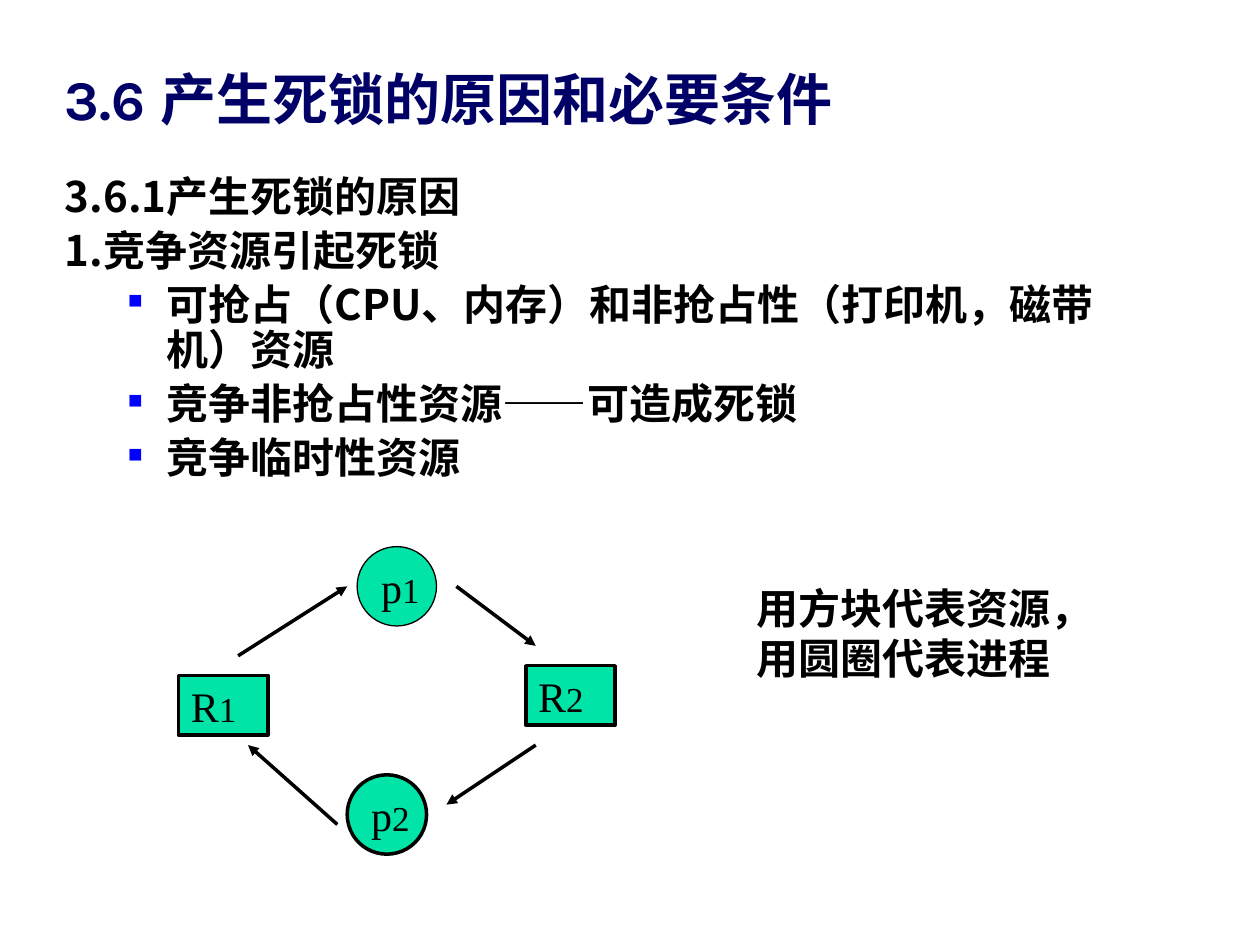
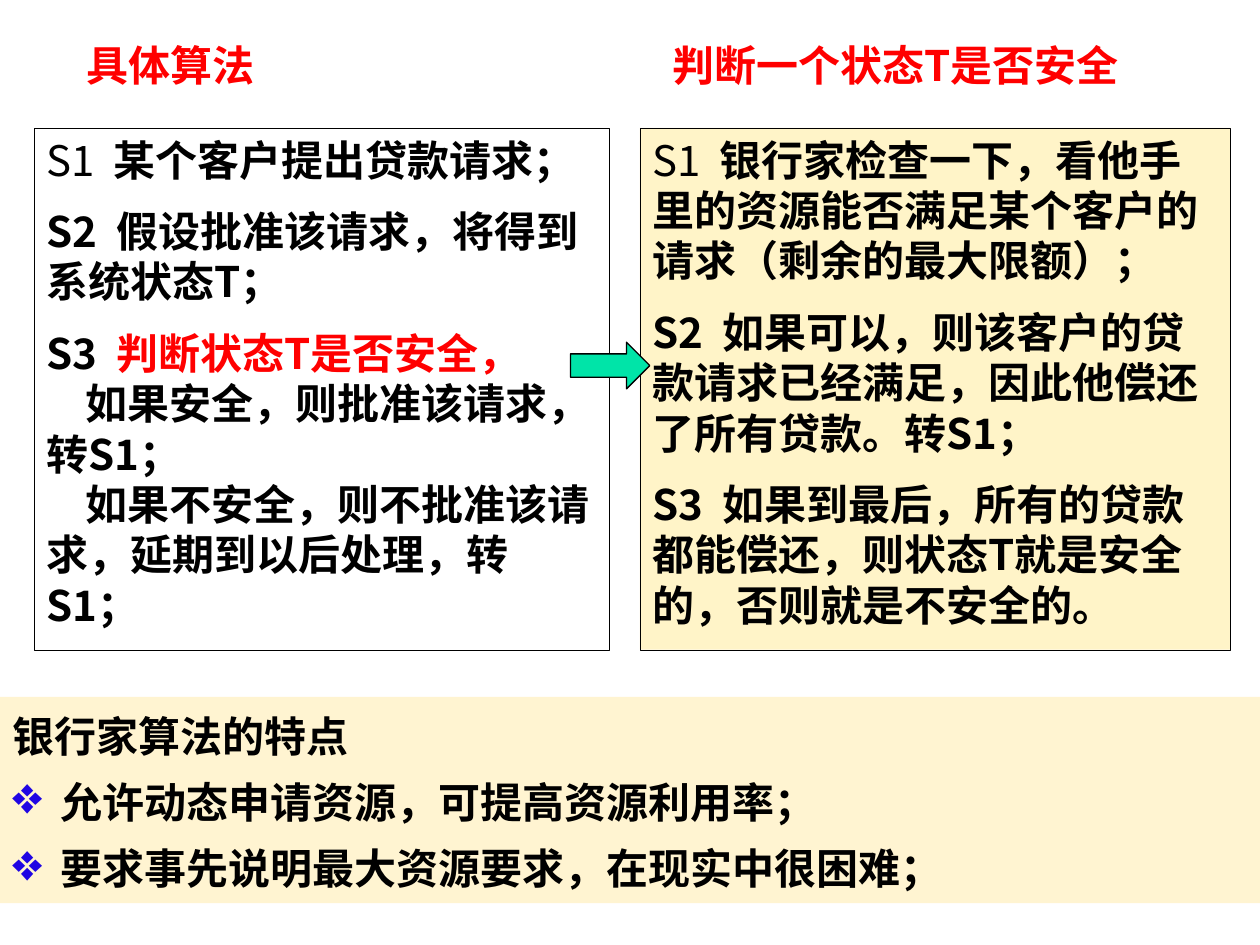
"""Builds two slides on deadlock causes and the banker's algorithm."""
import pptx
import pptx.util
import pptx.dml.color
import pptx.enum.shapes
import pptx.enum.text
import pptx.oxml
import pptx.oxml.ns
from lxml import etree

Color = pptx.dml.color.RGBColor
Pt = pptx.util.Pt
Inches = pptx.util.Inches
Shape = pptx.enum.shapes.MSO_SHAPE
Anchor = pptx.enum.text.MSO_ANCHOR
qn = pptx.oxml.ns.qn

BLACK = Color(0x00, 0x00, 0x00)
NAVY = Color(0x00, 0x00, 0x66)
RED = Color(0xFF, 0x00, 0x00)
BLUE = Color(0x00, 0x00, 0xFF)
VIOLET = Color(0x1F, 0x05, 0xE3)
GREEN = Color(0x00, 0xE4, 0xA8)
CREAM = Color(0xFF, 0xF4, 0xC8)
SAND = Color(0xFF, 0xF4, 0xD1)

SANS = "Noto Sans CJK SC"
SERIF = "Times New Roman"
HEAD = "Karla"
COLS = 127


def add(parent, tag, **attrs):
    node = etree.SubElement(parent, qn(tag))
    for key, value in attrs.items():
        node.set(key, str(value))
    return node


def write(para, text, size=24, color=BLACK, bold=True, font=SANS, space=0):
    run = para.add_run()
    run.text = text
    run.font.size = Pt(size)
    run.font.bold = bold
    run.font.name = font
    run.font.color.rgb = color
    add(run.font._element, "a:ea", typeface=SANS)
    if space:
        run.font._element.set("spc", str(round(space * 100)))


class Deck:
    """Holds the shared style and the current slide."""

    def __init__(self):
        self.show = pptx.Presentation()
        self.show.slide_width = Inches(10)
        self.show.slide_height = Inches(7.5)
        self.unit = self.show.slide_width / COLS

    def page(self):
        self.slide = self.show.slides.add_slide(self.show.slide_layouts[6])

    def grid(self, *cells):
        return [round(cell * self.unit) for cell in cells]

    def fill(self, shape, paras, anchor=Anchor.TOP, wrap=True):
        frame = shape.text_frame
        frame.word_wrap = wrap
        frame.vertical_anchor = anchor
        for index, (runs, form) in enumerate(paras):
            para = frame.add_paragraph() if index else frame.paragraphs[0]
            self.form(para, first=index == 0, **form)
            for text, style in runs:
                write(para, text, **style)

    def form(self, para, first, left=0, hang=0, lead=1, gap=0,
             mark=None, tint=BLUE, scale=100):
        props = para._p.get_or_add_pPr()
        props.set("marL", str(Inches(left)))
        props.set("indent", str(Inches(hang)))
        if mark:
            add(add(props, "a:buClr"), "a:srgbClr", val=tint)
            add(props, "a:buSzPct", val=scale * 1000)
            add(props, "a:buChar", char=mark)
        para.alignment = pptx.enum.text.PP_ALIGN.LEFT
        para.line_spacing = lead
        para.space_before = Pt(0 if first else gap)

    def text(self, cells, paras, **frame):
        box = self.slide.shapes.add_textbox(*self.grid(*cells))
        self.fill(box, paras, **frame)

    def block(self, kind, cells, fill=None, edge=None, paras=(), **frame):
        shape = self.slide.shapes.add_shape(kind, *self.grid(*cells))
        shape.shadow.inherit = False
        if fill is None:
            shape.fill.background()
        else:
            shape.fill.solid()
            shape.fill.fore_color.rgb = fill
        if edge:
            shape.line.color.rgb = BLACK
            shape.line.width = Pt(edge)
        else:
            shape.line.fill.background()
        self.fill(shape, paras, **frame)

    def node(self, kind, cells, letter, digit, edge=2):
        runs = [(letter, dict(font=SERIF, bold=False)),
                (digit, dict(font=SERIF, bold=False, size=20))]
        self.block(kind, cells, GREEN, edge, [(runs, {})],
                   anchor=Anchor.MIDDLE, wrap=False)

    def arrow(self, *ends):
        line = self.slide.shapes.add_connector(
            pptx.enum.shapes.MSO_CONNECTOR.STRAIGHT, *self.grid(*ends))
        line.line.color.rgb = BLACK
        line.line.width = Pt(2)
        add(line.line._get_or_add_ln(), "a:tailEnd", type="triangle")
        add(line._element.spPr, "a:effectLst")


def plain(text, form, **style):
    return [(text, style)], form


def step(label, text, bold=True, color=BLACK):
    return ([(label, dict(bold=bold)), (" ", dict(bold=bold, space=5.4)),
             (text, dict(color=color))], dict(gap=12))


def causes(deck):
    deck.page()
    deck.text((5.3, 6.35, 118.5, 7.6),
              [plain("3.6 产生死锁的原因和必要条件", {},
                     size=32, color=NAVY, font=HEAD)], anchor=Anchor.BOTTOM)
    top = dict(left=0.38, hang=-0.38, lead=0.9, gap=5)
    sub = dict(left=0.81, hang=-0.31, lead=0.9, gap=5, mark="■", scale=48)
    deck.text((5.3, 17.1, 111, 34.9), [
        plain("3.6.1产生死锁的原因", top),
        plain("1.竞争资源引起死锁", top),
        plain("可抢占（CPU、内存）和非抢占性（打印机，磁带机）资源", sub),
        plain("竞争非抢占性资源——可造成死锁", sub),
        plain("竞争临时性资源", sub)])
    deck.node(Shape.OVAL, (36, 55.1, 8, 8), "p", "1", edge=0.75)
    deck.node(Shape.OVAL, (35, 78.1, 8, 8), "p", "2")
    deck.node(Shape.RECTANGLE, (18, 68.1, 9, 6), "R", "1")
    deck.node(Shape.RECTANGLE, (53, 67.1, 9, 6), "R", "2")
    for ends in ((34, 83.1, 25, 75.1), (24, 66.1, 35, 59.1),
                 (54, 75.1, 45, 81.1), (46, 59.1, 54, 65.1)):
        deck.arrow(*ends)
    deck.text((75, 58.1, 37.3, 11.6),
              [plain("用方块代表资源，用圆圈代表进程", {}, font=SERIF)])


def banker(deck):
    deck.page()
    for cells, title in (((7.5, 3.9, 38, 5.8), "具体算法"),
                         ((66.5, 3.9, 54, 5.8), "判断一个状态T是否安全")):
        deck.text(cells, [plain(title, dict(lead=0.9), color=RED)])
    inset = dict(hang=0.31)
    deck.block(Shape.RECTANGLE, (3.45, 12.9, 58, 52.6), None, 0.25, [
        step("S1", "某个客户提出贷款请求；", bold=False),
        step("S2", "假设批准该请求，将得到系统状态T；"),
        step("S3", "判断状态T是否安全，", color=RED),
        plain("如果安全，则批准该请求，转S1；", inset),
        plain("如果不安全，则不批准该请求，延期到以后处理，转S1；", inset)])
    deck.block(Shape.RECTANGLE, (64.5, 12.9, 59.5, 52.6), CREAM, 0.25, [
        step("S1", "银行家检查一下，看他手里的资源能否满足某个客户的请求"
             "（剩余的最大限额）；", bold=False),
        step("S2", "如果可以，则该客户的贷款请求已经满足，"
             "因此他偿还了所有贷款。转S1；"),
        step("S3", "如果到最后，所有的贷款都能偿还，则状态T就是安全的，"
             "否则就是不安全的。")])
    deck.block(Shape.RIGHT_ARROW, (57.5, 34.5, 8, 4.7), GREEN, 0.75)
    item = dict(left=0.38, hang=-0.38, lead=1.14, gap=5,
                mark="❖", tint=VIOLET, scale=125)
    deck.block(Shape.RECTANGLE, (0, 70.25, COLS, 20.8), SAND, paras=[
        plain("银行家算法的特点", dict(lead=1.14)),
        plain("允许动态申请资源，可提高资源利用率；", item),
        plain("要求事先说明最大资源要求，在现实中很困难；", item)])


def main():
    deck = Deck()
    causes(deck)
    banker(deck)
    deck.show.save("out.pptx")


if __name__ == "__main__":
    main()
